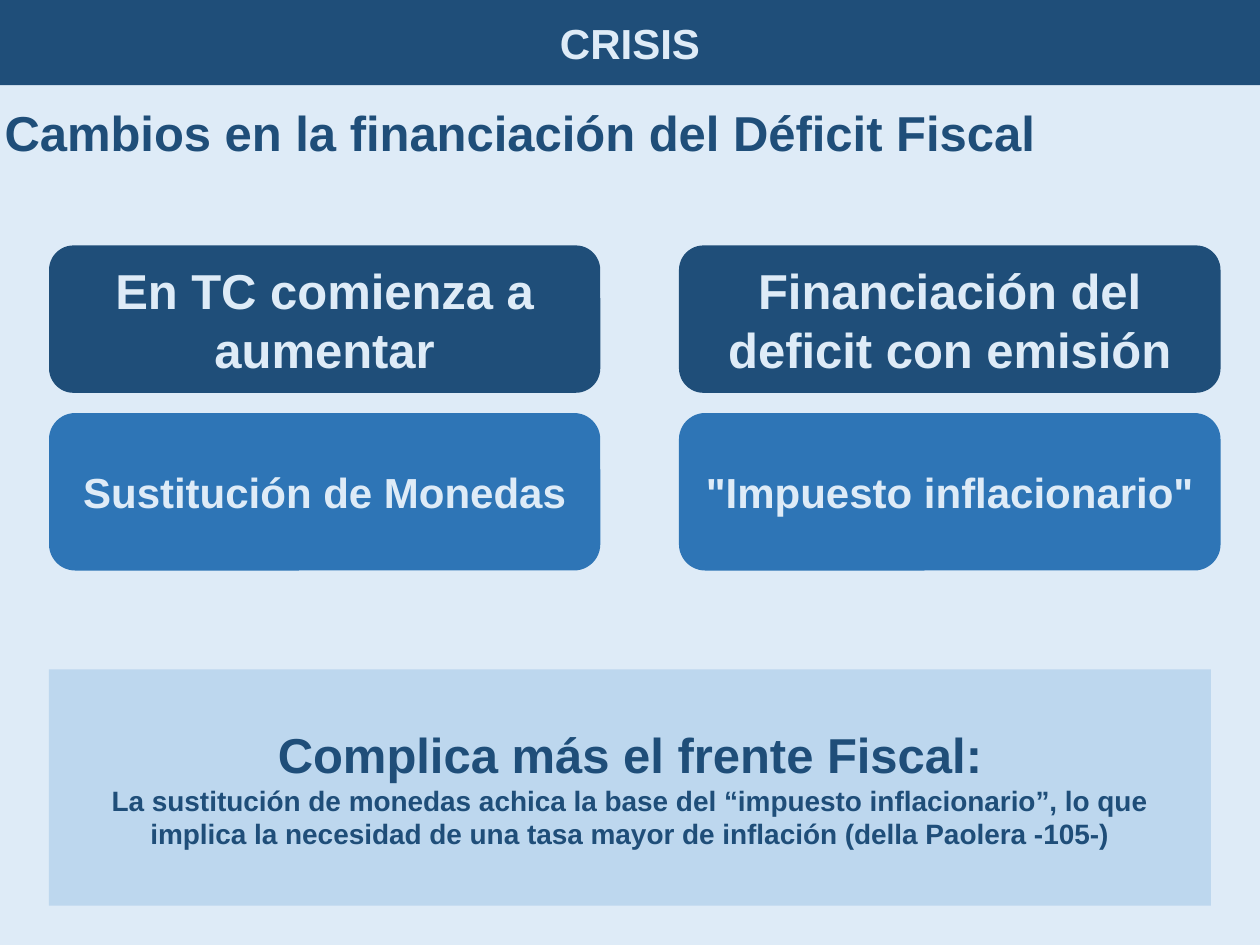
from pptx import Presentation
from pptx.dml.color import RGBColor
from pptx.enum.shapes import MSO_SHAPE as Shape
from pptx.enum.text import MSO_ANCHOR as Anchor, MSO_AUTO_SIZE as AutoSize, PP_ALIGN as Align
from pptx.util import Pt

NAVY, BLUE, PALE, ICE = "1F4E79", "2E75B6", "BDD7EE", "DEEBF7"


def paint(color_format, color):
    """Set a colour format from a hex string."""
    color_format.rgb = RGBColor.from_string(color)


def fill_solid(fill, color):
    """Give a fill one solid colour."""
    fill.solid()
    paint(fill.fore_color, color)


def write(frame, lines, color, align):
    """Write (text, size) lines as bold paragraphs of a text frame."""
    frame.word_wrap = True
    for index, (text, size) in enumerate(lines):
        para = frame.add_paragraph() if index else frame.paragraphs[0]
        para.alignment = align
        span = para.add_run()
        span.text = text
        for name, value in {"name": "Arial", "size": Pt(size), "bold": True}.items():
            setattr(span.font, name, value)
        paint(span.font.color, color)


def add_panel(page, kind, bounds, fill, lines, color=ICE):
    """Add a filled shape with centred text."""
    box = page.shapes.add_shape(kind, *map(Pt, bounds))
    box.shadow.inherit = False
    fill_solid(box.fill, fill)
    box.line.fill.background()
    box.text_frame.vertical_anchor = Anchor.MIDDLE
    write(box.text_frame, lines, color, Align.CENTER)


def add_heading(page, bounds, text, size):
    """Add the left-aligned heading."""
    box = page.shapes.add_textbox(*map(Pt, bounds))
    write(box.text_frame, [(text, size)], NAVY, Align.LEFT)
    box.text_frame.auto_size = AutoSize.SHAPE_TO_FIT_TEXT


def main():
    """Build and save the slide."""
    deck = Presentation()
    deck.slide_width, deck.slide_height = Pt(720), Pt(540)
    page = deck.slides.add_slide(deck.slide_layouts[6])
    fill_solid(page.background.fill, ICE)

    columns = [
        (28, 315, "En TC comienza a aumentar", "Sustitución de Monedas"),
        (388, 309.5, "Financiación del deficit con emisión", '"Impuesto inflacionario"'),
    ]
    for left, width, change, effect in columns:
        add_panel(page, Shape.ROUNDED_RECTANGLE, (left, 236, width, 90), BLUE, [(effect, 24)])
        add_panel(page, Shape.ROUNDED_RECTANGLE, (left, 140.25, width, 84.25), NAVY, [(change, 28)])

    conclusion = [
        ("Complica más el frente Fiscal:", 28),
        ("La sustitución de monedas achica la base del “impuesto inflacionario”, lo que "
         "implica la necesidad de una tasa mayor de inflación (della Paolera -105-)", 16),
    ]
    add_panel(page, Shape.RECTANGLE, (28, 382.5, 664, 135), PALE, conclusion, NAVY)
    add_panel(page, Shape.RECTANGLE, (0, 0, 720, 48.75), NAVY, [("CRISIS", 24)])
    add_heading(page, (-4.5, 55, 677.5, 41), "Cambios en la financiación del Déficit Fiscal", 28)
    deck.save("out.pptx")


if __name__ == "__main__":
    main()
